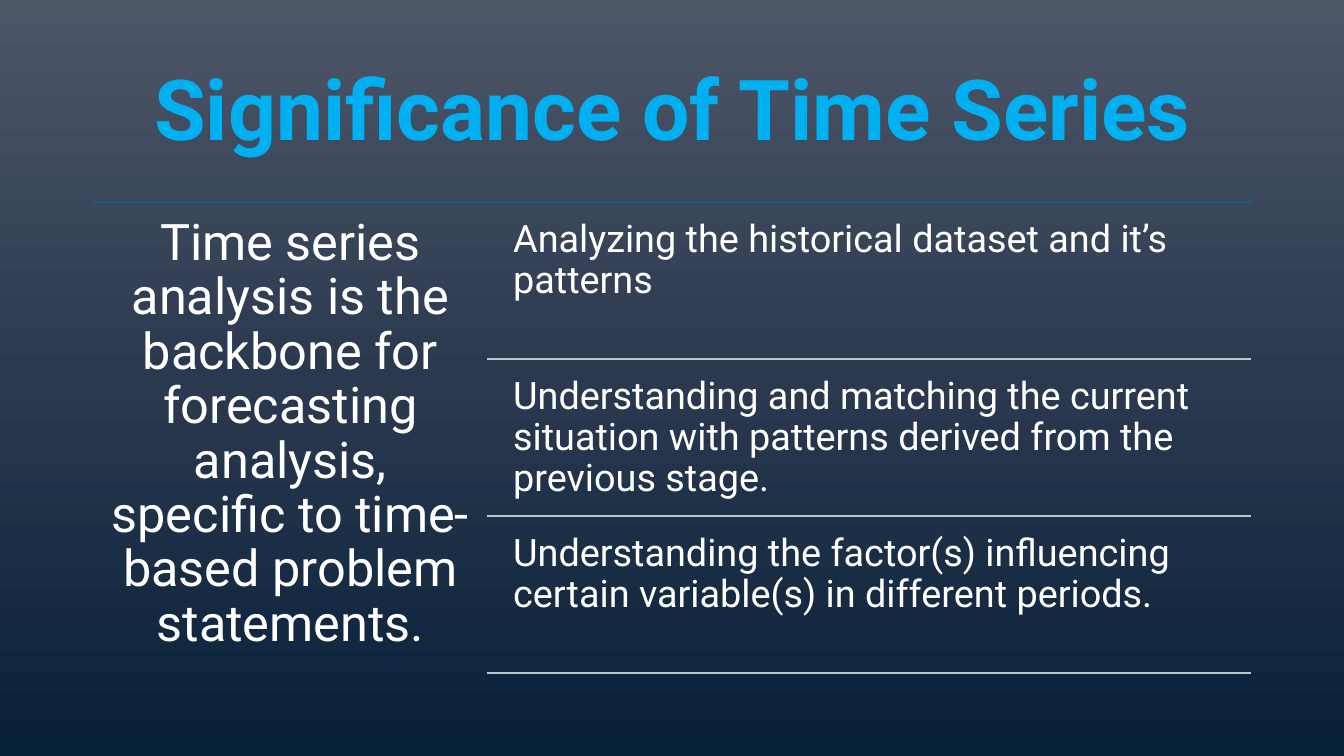
from copy import deepcopy

from pptx import Presentation
from pptx.dml.color import RGBColor
from pptx.enum.shapes import MSO_CONNECTOR
from pptx.enum.text import MSO_ANCHOR, MSO_AUTO_SIZE, PP_ALIGN
from pptx.oxml.ns import qn
from pptx.util import Inches, Pt

STRAIGHT = MSO_CONNECTOR.STRAIGHT
TOP, MIDDLE = MSO_ANCHOR.TOP, MSO_ANCHOR.MIDDLE
LEFT, CENTER = PP_ALIGN.LEFT, PP_ALIGN.CENTER
NO_AUTOFIT = MSO_AUTO_SIZE.NONE


def color(hex_value):
    return RGBColor.from_string(hex_value)


def write_text(shape, text, size, text_color, align, anchor, inset, bold=False):
    frame = shape.text_frame
    frame_format = {"word_wrap": True, "auto_size": NO_AUTOFIT, "vertical_anchor": anchor,
                    "margin_left": inset, "margin_right": inset,
                    "margin_top": inset, "margin_bottom": inset}
    for name, value in frame_format.items():
        setattr(frame, name, value)
    paragraph = frame.paragraphs[0]
    paragraph.text = text
    paragraph.alignment = align
    paragraph.line_spacing = 0.9
    font = paragraph.runs[0].font
    for name, value in {"name": "Roboto", "size": Pt(size), "bold": bold}.items():
        setattr(font, name, value)
    font.color.rgb = color(text_color)


presentation = Presentation()
presentation.slide_width = Inches(13.33)
presentation.slide_height = Inches(7.5)
slide = presentation.slides.add_slide(presentation.slide_layouts[5])

# Background: three-stop gradient running from top to bottom
fill = slide.background.fill
fill.gradient()
fill.gradient_angle = 270
stop_list = slide.element.find(".//" + qn("a:gsLst"))
stop_list.append(deepcopy(stop_list[-1]))
gradient = [(0, "4D5667"), (0.5, "2B394F"), (1, "072139")]
for stop, (position, stop_color) in zip(fill.gradient_stops, gradient):
    stop.position = position
    stop.color.rgb = color(stop_color)

# Title
title = slide.shapes.title
title_place = {"left": 0.92, "top": 0.4, "width": 11.5, "height": 1.45}
for name, value in title_place.items():
    setattr(title, name, Inches(value))
write_text(title, "Significance of Time Series", 60, "00B0F0", CENTER, MIDDLE,
           Inches(0.1), bold=True)

# Key statement on the left
statement = slide.shapes.add_textbox(Inches(0.92), Inches(2), Inches(3.92), Inches(4.76))
write_text(statement,
           "Time series analysis is the backbone for forecasting analysis, "
           "specific to time-based problem statements.",
           36, "FFFFFF", CENTER, TOP, Inches(0.15))

# Reasons on the right, one row each
reasons = [
    "Analyzing the historical dataset and it’s patterns",
    "Understanding and matching the current situation with patterns "
    "derived from the previous stage.",
    "Understanding the factor(s) influencing certain variable(s) in different periods.",
]
row_top, row_pitch = 2.07, 1.56
rules = [(0.92, 12.42, 2, "156082")]
for index, reason in enumerate(reasons):
    top = row_top + index * row_pitch
    reason_box = slide.shapes.add_textbox(Inches(4.98), Inches(top), Inches(7.43), Inches(1.49))
    write_text(reason_box, reason, 27, "FFFFFF", LEFT, TOP, Inches(0.11))
    rules.append((4.83, 12.41, top + 1.49, "BDC5CD"))

# Rules under the title and under each reason
for start, end, height, rule_color in rules:
    rule = slide.shapes.add_connector(STRAIGHT, Inches(start), Inches(height),
                                      Inches(end), Inches(height))
    rule.line.color.rgb = color(rule_color)
    rule.line.width = Pt(1.5)
    properties = rule.element.spPr
    properties.append(properties.makeelement(qn("a:effectLst"), {}))

presentation.save("out.pptx")
